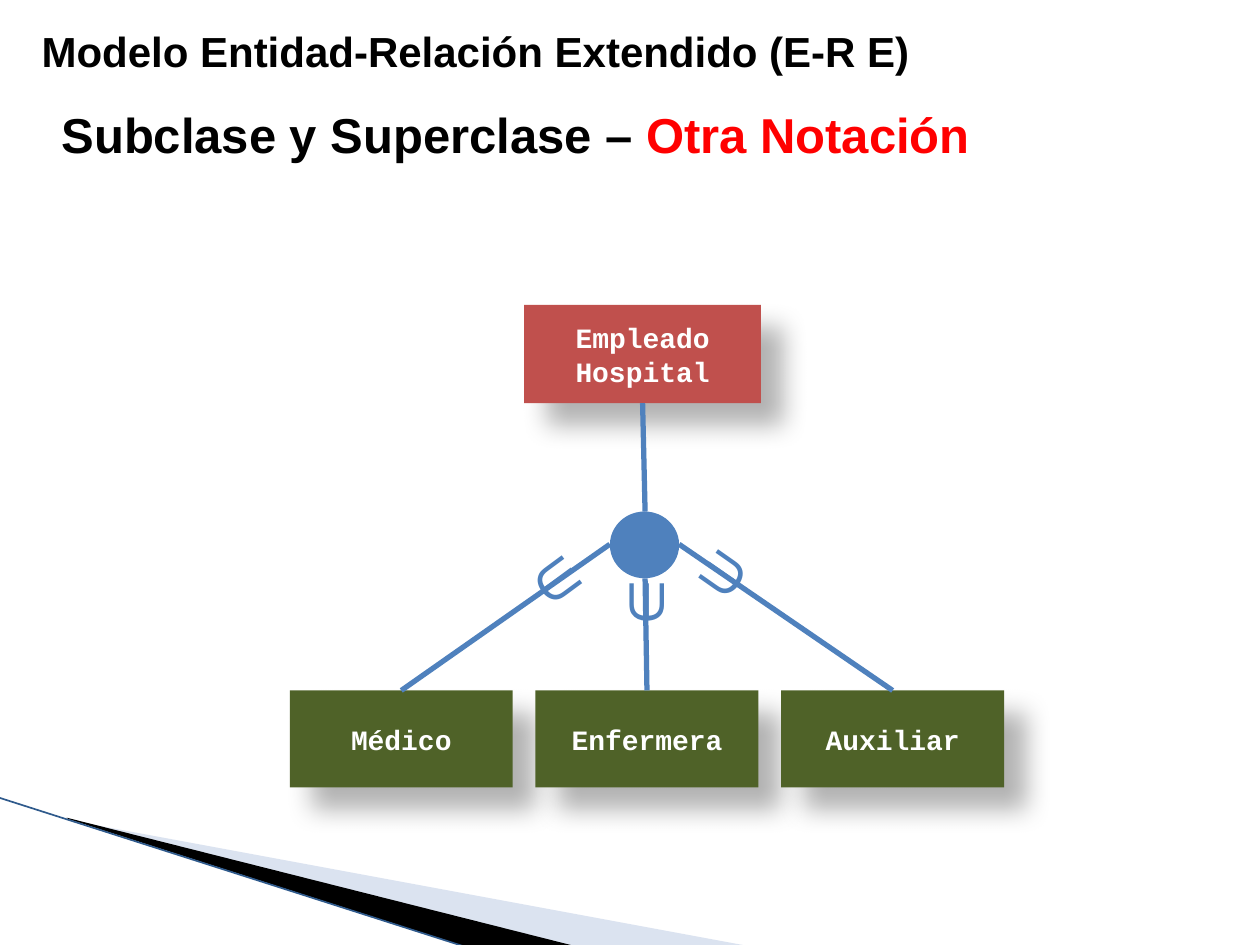
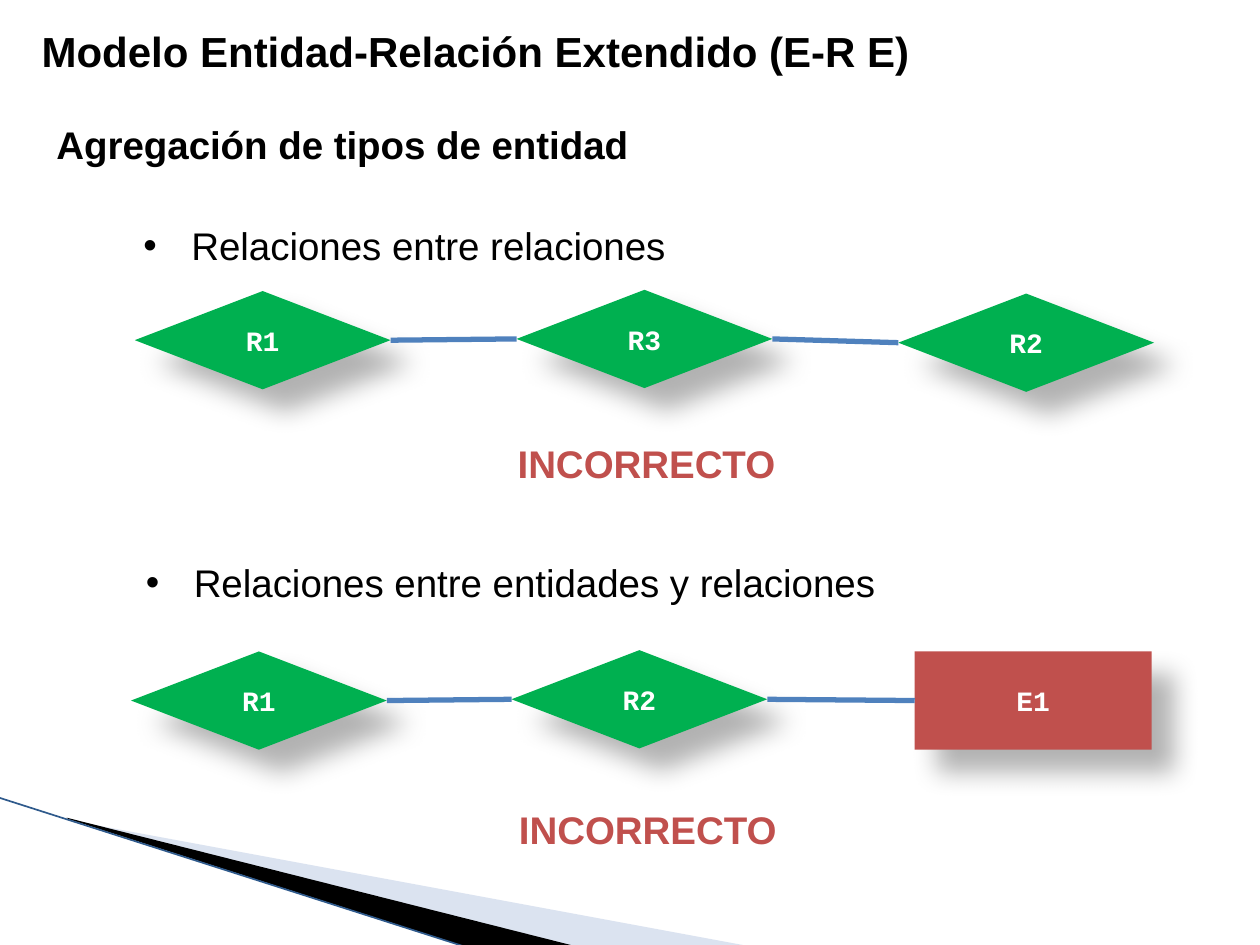
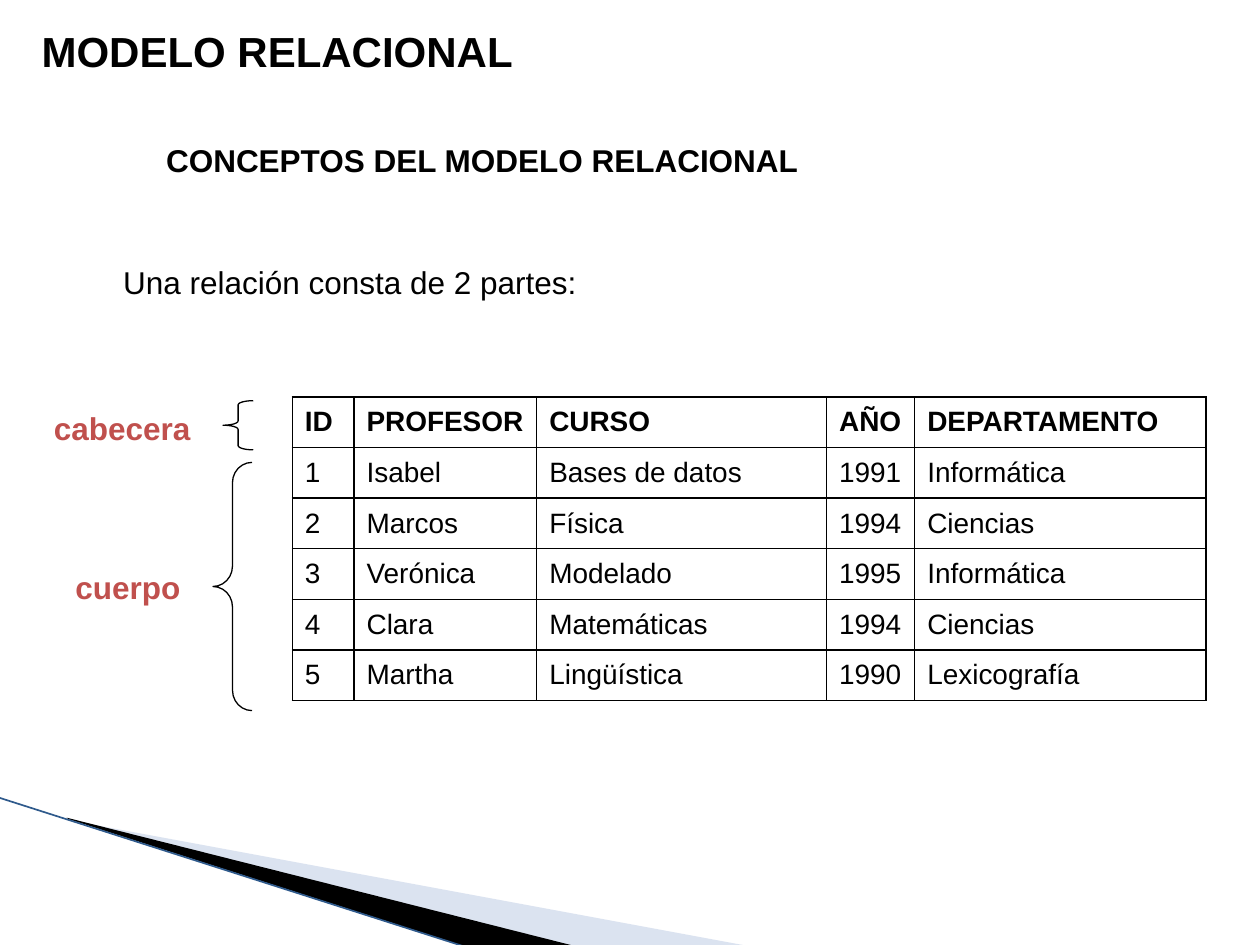
from lxml.etree import SubElement
from pptx import Presentation
from pptx.dml.color import RGBColor
from pptx.enum.shapes import MSO_CONNECTOR, MSO_SHAPE as SHP
from pptx.enum.text import MSO_ANCHOR, MSO_AUTO_SIZE as FIT, PP_ALIGN
from pptx.oxml.ns import qn
from pptx.util import Inches, Pt

C = {
    "black": "000000", "white": "FFFFFF", "red": "FF0000", "brick": "C0504D",
    "olive": "4F6228", "green": "00B050", "blue": "4F81BD",
    "band": "A7B9DB", "edge": "2F5A8C",
}
TOP, LEFT, BOTTOM, RIGHT = range(4)
ER_TITLE = "Modelo Entidad-Relación Extendido (E-R E)"

LIGHT_BAND = [(0.55, 6.51), (5.95, 7.51), (4.56, 7.51), (0.55, 6.5)]
LIGHT_FRAME = (0.78, 5.47, 4.16, 1.58)
DARK_BAND = [(0.53, 6.49), (4.57, 7.51), (3.72, 7.52), (0.54, 6.5)]
DARK_FRAME = (-0.06, 6.33, 4.16, 0.92)

SUBCLASSES = ["Médico", "Enfermera", "Auxiliar"]
MEMBER_SIGNS = [
    ((5.12, 4.16, 0.55, 1.45), 270),
    ((5.7, 3.68, 0.55, 1.45), 215),
    ((4.02, 4.22, 0.55, 0.77), 323.6),
]

DIAMOND, ENTITY = (2.03, 0.78), (1.88, 0.78)
AGGREGATIONS = [
    {"text": "Relaciones entre relaciones", "at": (1.04, 1.71, 4.35, 0.47),
     "verdict": (4.01, 3.44, 2.26, 0.47),
     "nodes": [("R1", 1.07, 2.31), ("R3", 4.1, 2.3), ("R2", 7.13, 2.33)]},
    {"text": "Relaciones entre entidades y relaciones", "at": (1.06, 4.39, 6, 0.47),
     "verdict": (4.02, 6.35, 2.26, 0.47),
     "nodes": [("R1", 1.04, 5.17), ("R2", 4.06, 5.16), ("E1", 7.26, 5.17)]},
]

COLUMNS = [("ID", 0.49), ("PROFESOR", 1.45), ("CURSO", 2.3), ("AÑO", 0.7),
           ("DEPARTAMENTO", 2.31)]
COURSES = [
    ("1", "Isabel", "Bases de datos", "1991", "Informática"),
    ("2", "Marcos", "Física", "1994", "Ciencias"),
    ("3", "Verónica", "Modelado", "1995", "Informática"),
    ("4", "Clara", "Matemáticas", "1994", "Ciencias"),
    ("5", "Martha", "Lingüística", "1990", "Lexicografía"),
]
PARTS = [
    ("cabecera", (0.33, 3.2, 1.3, 0.4), (1.77, 3.18, 0.24, 0.39), 0.14),
    ("cuerpo", (0.5, 4.46, 1.05, 0.4), (1.69, 3.67, 0.31, 1.97), 0.52),
]


def rgb(name):
    return RGBColor.from_string(C[name])


def box(at):
    return [Inches(v) for v in at]


def add_run(p, text, size, color="black", bold=True, font="Arial"):
    r = p.add_run()
    r.text = text
    r.font.name, r.font.size, r.font.bold = font, Pt(size), bold
    r.font.color.rgb = rgb(color)


def add_text(s, at, runs, size, bold=True, wrap=False, bullet=False, fit=FIT.SHAPE_TO_FIT_TEXT):
    sp = s.shapes.add_textbox(*box(at))
    tf = sp.text_frame
    tf.word_wrap, tf.auto_size = wrap, fit
    p = tf.paragraphs[0]
    if bullet:
        pPr = p._p.get_or_add_pPr()
        pPr.set("marL", str(Inches(0.38)))
        pPr.set("indent", str(-Inches(0.38)))
        SubElement(pPr, qn("a:buFont"), typeface="Arial")
        SubElement(pPr, qn("a:buChar"), char="•")
    for text, color in runs:
        add_run(p, text, size, color, bold)
    return sp


def paint(sp, color):
    sp.shadow.inherit = False
    sp.fill.solid()
    sp.fill.fore_color.rgb = rgb(color)
    sp.line.fill.background()


def add_solid(s, shape, at, color):
    sp = s.shapes.add_shape(shape, *box(at))
    paint(sp, color)
    return sp


def set_alpha(color_element, percent):
    SubElement(color_element, qn("a:alpha"), val=str(percent * 1000))


def add_node(s, shape, at, color, text):
    sp = add_solid(s, shape, at, color)
    effects = sp._element.spPr.find(qn("a:effectLst"))
    shadow = SubElement(effects, qn("a:outerShdw"), blurRad=str(Pt(15)), dist=str(Pt(18)),
                        dir=str(45 * 60000), algn="tl", rotWithShape="0")
    set_alpha(SubElement(shadow, qn("a:srgbClr"), val=C["black"]), 30)
    tf = sp.text_frame
    tf.word_wrap, tf.vertical_anchor = True, MSO_ANCHOR.MIDDLE
    p = tf.paragraphs[0]
    p.alignment = PP_ALIGN.CENTER
    add_run(p, text, 16, "white", font="Courier New")
    return sp


def add_line(s, start, end, color="blue", width=3):
    cn = s.shapes.add_connector(MSO_CONNECTOR.STRAIGHT, *box(start + end))
    cn.line.color.rgb, cn.line.width = rgb(color), Pt(width)
    SubElement(cn._element.spPr, qn("a:effectLst"))
    return cn


def set_frame(sp, frame):
    left, top, width, height = box(frame)
    dx, dy = sp.left - left, sp.top - top
    outline = next(sp.element.iter(qn("a:path")))
    outline.set("w", str(width))
    outline.set("h", str(height))
    for pt in outline.iter(qn("a:pt")):
        pt.set("x", str(int(pt.get("x")) + dx))
        pt.set("y", str(int(pt.get("y")) + dy))
    sp.left, sp.top, sp.width, sp.height = left, top, width, height


def add_band(s, points, frame, color):
    start, *rest = [tuple(box(pt)) for pt in points]
    fb = s.shapes.build_freeform(*start)
    fb.add_line_segments(rest)
    sp = fb.convert_to_shape()
    set_frame(sp, frame)
    paint(sp, color)
    return sp


def decorate_layout(s):
    light = add_band(s, LIGHT_BAND, LIGHT_FRAME, "band")
    set_alpha(light._element.spPr.find(qn("a:solidFill"))[0], 40)
    dark = add_band(s, DARK_BAND, DARK_FRAME, "black")
    edge = add_line(s, (-0.01, 6.33), (3.71, 7.52), "edge", 0.95)
    for sp in (light, dark, edge):
        s.slide_layout.shapes.element.append(sp.element)


def add_slide(prs, title, width):
    s = prs.slides.add_slide(prs.slide_layouts[5])
    sp = s.shapes.title
    sp.left, sp.top, sp.width, sp.height = box((0.23, 0.15, width, 0.51))
    tf = sp.text_frame
    tf.word_wrap, tf.auto_size, tf.vertical_anchor = True, FIT.NONE, MSO_ANCHOR.TOP
    p = tf.paragraphs[0]
    p.alignment = PP_ALIGN.LEFT
    add_run(p, title, 24)
    return s


def subclass_slide(prs):
    s = add_slide(prs, ER_TITLE, 7.15)
    decorate_layout(s)
    add_text(s, (0.39, 0.78, 7.5, 0.57),
             [("Subclase y Superclase – ", "black"), ("Otra Notación", "red")], 28)
    parent = add_node(s, SHP.RECTANGLE, (4.16, 2.42, *ENTITY), "brick", "Empleado Hospital")
    add_line(s, (5.1, 3.2), (5.12, 4.06)).begin_connect(parent, BOTTOM)
    circle_sides = [(4.84, 4.32), (5.12, 4.59), (5.39, 4.32)]
    for i, (name, side) in enumerate(zip(SUBCLASSES, circle_sides)):
        left = 2.3 + 1.95 * i
        child = add_node(s, SHP.RECTANGLE, (left, 5.48, 1.77, 0.77), "olive", name)
        add_line(s, side, (left + 0.88, 5.48)).end_connect(child, TOP)
    add_solid(s, SHP.OVAL, (4.84, 4.06, 0.55, 0.53), "blue")
    for at, angle in MEMBER_SIGNS:
        add_text(s, at, [("∈", "blue")], 40, wrap=True, fit=FIT.NONE).rotation = angle


def aggregation_slide(prs):
    s = add_slide(prs, ER_TITLE, 7.15)
    add_text(s, (0.35, 0.91, 4.76, 0.47), [("Agregación de tipos de entidad", "black")], 22)
    for group in AGGREGATIONS:
        add_text(s, group["at"], [(group["text"], "black")], 22, bold=False, bullet=True)
        nodes = []
        for name, x, y in group["nodes"]:
            if name.startswith("E"):
                node = add_node(s, SHP.RECTANGLE, (x, y, *ENTITY), "brick", name)
            else:
                node = add_node(s, SHP.FLOWCHART_DECISION, (x, y, *DIAMOND), "green", name)
            nodes.append(node)
        for a, b in zip(nodes, nodes[1:]):
            cn = add_line(s, (0, 0), (1, 1))
            cn.begin_connect(a, RIGHT)
            cn.end_connect(b, LEFT)
        add_text(s, group["verdict"], [("INCORRECTO", "brick")], 22)


def add_borders(cell):
    tcPr = cell._tc.get_or_add_tcPr()
    for side in ("lnL", "lnR", "lnT", "lnB"):
        ln = SubElement(tcPr, qn("a:" + side), w=str(Pt(1)))
        fill = SubElement(ln, qn("a:solidFill"))
        SubElement(fill, qn("a:srgbClr"), val=C["black"])


def add_course_table(s):
    rows = [[name for name, _ in COLUMNS]] + COURSES
    tb = s.shapes.add_table(len(rows), len(COLUMNS), *box((2.32, 3.15, 7.25, 2.41))).table
    tb.first_row = tb.horz_banding = False
    for col, (_, width) in zip(tb.columns, COLUMNS):
        col.width = Inches(width)
    for i, row in enumerate(rows):
        for j, text in enumerate(row):
            cell = tb.cell(i, j)
            add_borders(cell)
            cell.fill.background()
            cell.vertical_anchor = MSO_ANCHOR.MIDDLE
            add_run(cell.text_frame.paragraphs[0], text, 16, bold=i == 0)


def relational_slide(prs):
    s = add_slide(prs, "MODELO RELACIONAL", 9.45)
    add_course_table(s)
    add_text(s, (1.22, 1.07, 6.77, 0.4), [("CONCEPTOS DEL MODELO RELACIONAL", "black")], 18,
             wrap=True)
    add_text(s, (0.88, 2.04, 3.8, 0.4), [("Una relación consta de 2 partes:", "black")], 18,
             bold=False)
    for name, label_at, brace_at, curve in PARTS:
        add_text(s, label_at, [(name, "brick")], 18)
        brace = s.shapes.add_shape(SHP.LEFT_BRACE, *box(brace_at))
        brace.shadow.inherit = False
        brace.fill.background()
        brace.line.color.rgb, brace.line.width = rgb("black"), Pt(0.75)
        brace.adjustments[0] = curve


def main():
    prs = Presentation()
    prs.slide_width, prs.slide_height = Inches(10), Inches(7.5)
    subclass_slide(prs)
    aggregation_slide(prs)
    relational_slide(prs)
    prs.save("out.pptx")


if __name__ == "__main__":
    main()
